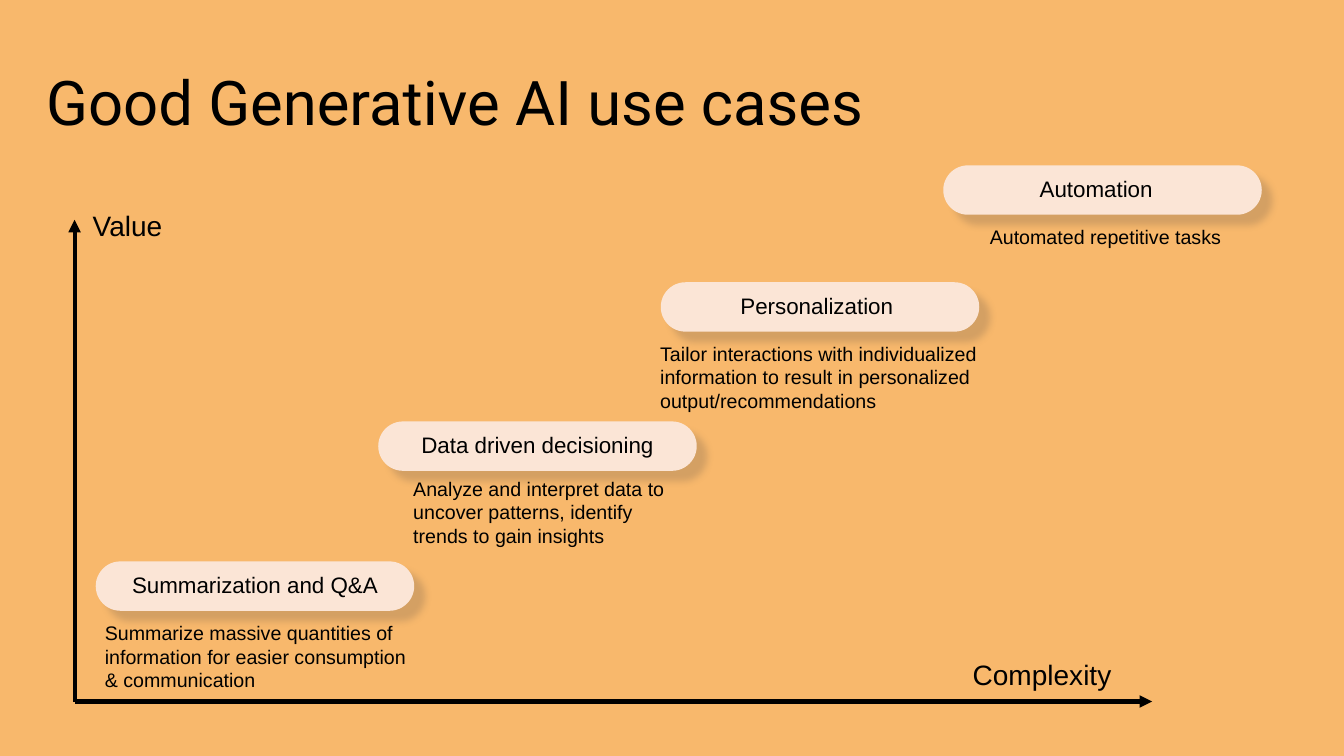
from lxml import etree
from pptx import Presentation
from pptx.dml.color import RGBColor
from pptx.enum.shapes import MSO_CONNECTOR, MSO_SHAPE
from pptx.enum.text import MSO_ANCHOR, PP_ALIGN
from pptx.oxml import parse_xml
from pptx.oxml.ns import qn
from pptx.util import Pt

MIDDLE, TOP = MSO_ANCHOR.MIDDLE, MSO_ANCHOR.TOP
CENTER, LEFT = PP_ALIGN.CENTER, PP_ALIGN.LEFT
ROUNDED, STRAIGHT = MSO_SHAPE.ROUNDED_RECTANGLE, MSO_CONNECTOR.STRAIGHT

BACKGROUND, PILL_FILL, BLACK = "F8B86C", "FBE5D6", "000000"
TITLE = "Good Generative AI use cases"

# Pill label, pill top, right inset of the label, description, description box
USE_CASES = [
    ("Summarization and Q&A", 401, 0,
     "Summarize massive quantities of information for easier consumption & communication",
     (74.9, 443.5, 227.5, 51)),
    ("Data driven decisioning", 301, 0,
     "Analyze and interpret data to uncover patterns, identify trends to gain insights",
     (295.2, 340.6, 194.4, 51)),
    ("Personalization", 201.6, 4.5,
     "Tailor interactions with individualized information to result in personalized "
     "output/recommendations",
     (471.6, 244.1, 235.4, 51)),
    ("Automation", 118.1, 9,
     "Automated repetitive tasks",
     (707, 160.6, 178.6, 17.3)),
]
PILL_LEFT, PILL_STEP, PILL_WIDTH, PILL_HEIGHT = 68.4, 201.8, 227.5, 35.3

ORIGIN = (53.3, 501.1)
# Axis label, label position, arrow end
AXES = [
    ("Value", (66.2, 149), (ORIGIN[0], 157)),
    ("Complexity", (694.8, 469.4), (823, ORIGIN[1])),
]

SHADOW = """<a:effectLst xmlns:a="http://schemas.openxmlformats.org/drawingml/2006/main">
<a:outerShdw blurRad="63500" dist="127000" dir="2700000" algn="tl" rotWithShape="0">
<a:srgbClr val="454142"><a:alpha val="20000"/></a:srgbClr></a:outerShdw></a:effectLst>"""


def paint(target, color):
    """Give a fill or a line's fill one solid colour."""
    target.solid()
    target.fore_color.rgb = RGBColor.from_string(color)


def write(shape, text, size, font="Arial", insets=(0, 0, 0, 0), anchor=TOP, align=LEFT, spacing=None):
    """Put one paragraph in a shape; insets run left, top, right, bottom."""
    frame = shape.text_frame
    frame.word_wrap = True
    frame.vertical_anchor = anchor
    frame.margin_left, frame.margin_top, frame.margin_right, frame.margin_bottom = map(Pt, insets)
    paragraph = frame.paragraphs[0]
    paragraph.alignment = align
    if spacing:
        paragraph.line_spacing = spacing
    run = paragraph.add_run()
    run.text = text
    run.font.name = font
    run.font.size = Pt(size)
    paint(run.font.fill, BLACK)


def add_text(slide, box, text, size, **options):
    write(slide.shapes.add_textbox(*map(Pt, box)), text, size, **options)


def add_arrow(slide, start, end):
    arrow = slide.shapes.add_connector(STRAIGHT, *map(Pt, start + end))
    arrow.line.width = Pt(3)
    paint(arrow.line.fill, BLACK)
    etree.SubElement(arrow.line._get_or_add_ln(), qn("a:tailEnd"), type="triangle")
    etree.SubElement(arrow._element.spPr, qn("a:effectLst"))


def add_pill(slide, left, top, label, right_inset):
    pill = slide.shapes.add_shape(ROUNDED, *map(Pt, (left, top, PILL_WIDTH, PILL_HEIGHT)))
    pill.adjustments[0] = 0.5
    paint(pill.fill, PILL_FILL)
    pill.line.fill.background()
    pill._element.spPr.append(parse_xml(SHADOW))
    write(pill, label, 16, insets=(0, 1.4, right_inset, 3.6), anchor=MIDDLE, align=CENTER)


def main():
    presentation = Presentation()
    presentation.slide_width, presentation.slide_height = Pt(960), Pt(540)
    slide = presentation.slides.add_slide(presentation.slide_layouts[6])
    paint(slide.background.fill, BACKGROUND)

    add_text(slide, (25.9, 23, 779.8, 104.4), TITLE, 44, font="Roboto",
             insets=(7.2, 3.6, 7.2, 3.6), anchor=MIDDLE, spacing=0.9)
    for label, position, end in AXES:
        add_arrow(slide, ORIGIN, end)
        add_text(slide, position + (122.4, 24.5), label, 20)
    for index, (label, top, right_inset, description, box) in enumerate(USE_CASES):
        add_pill(slide, PILL_LEFT + index * PILL_STEP, top, label, right_inset)
        add_text(slide, box, description, 14)

    presentation.save("out.pptx")


if __name__ == "__main__":
    main()
